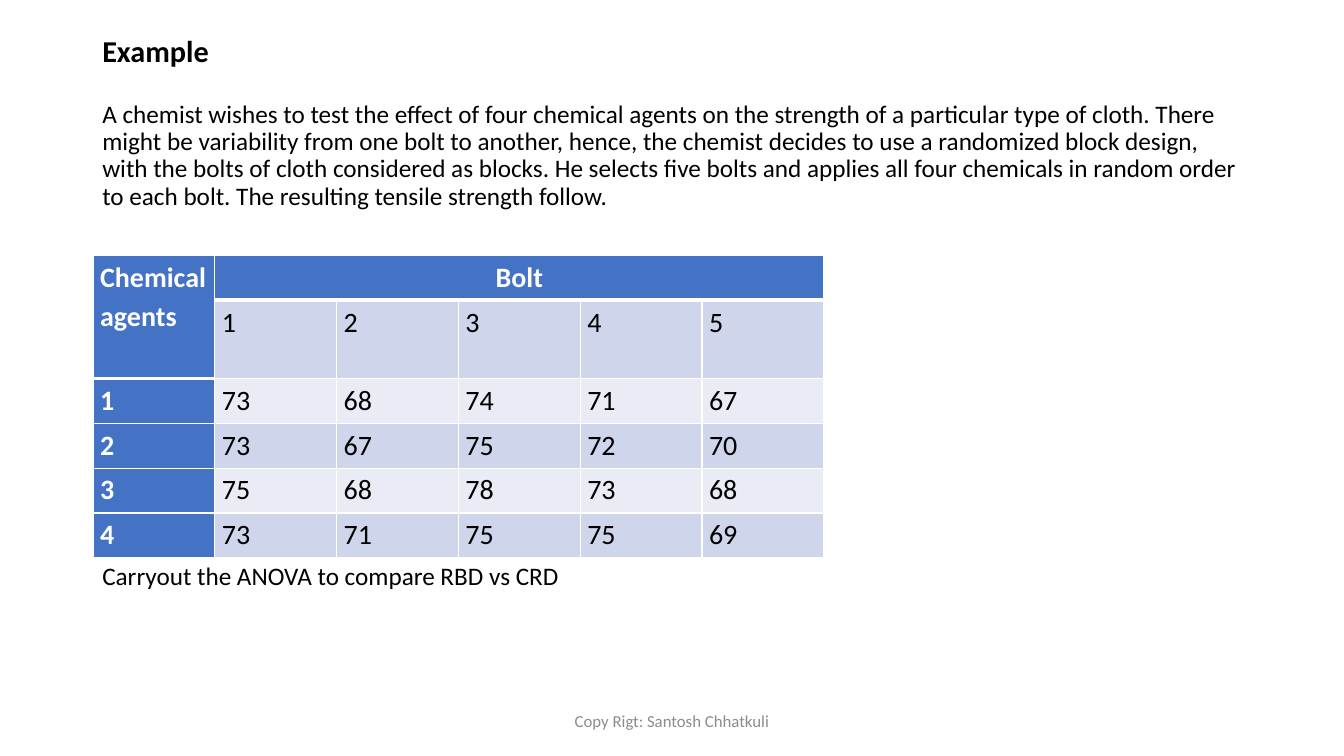
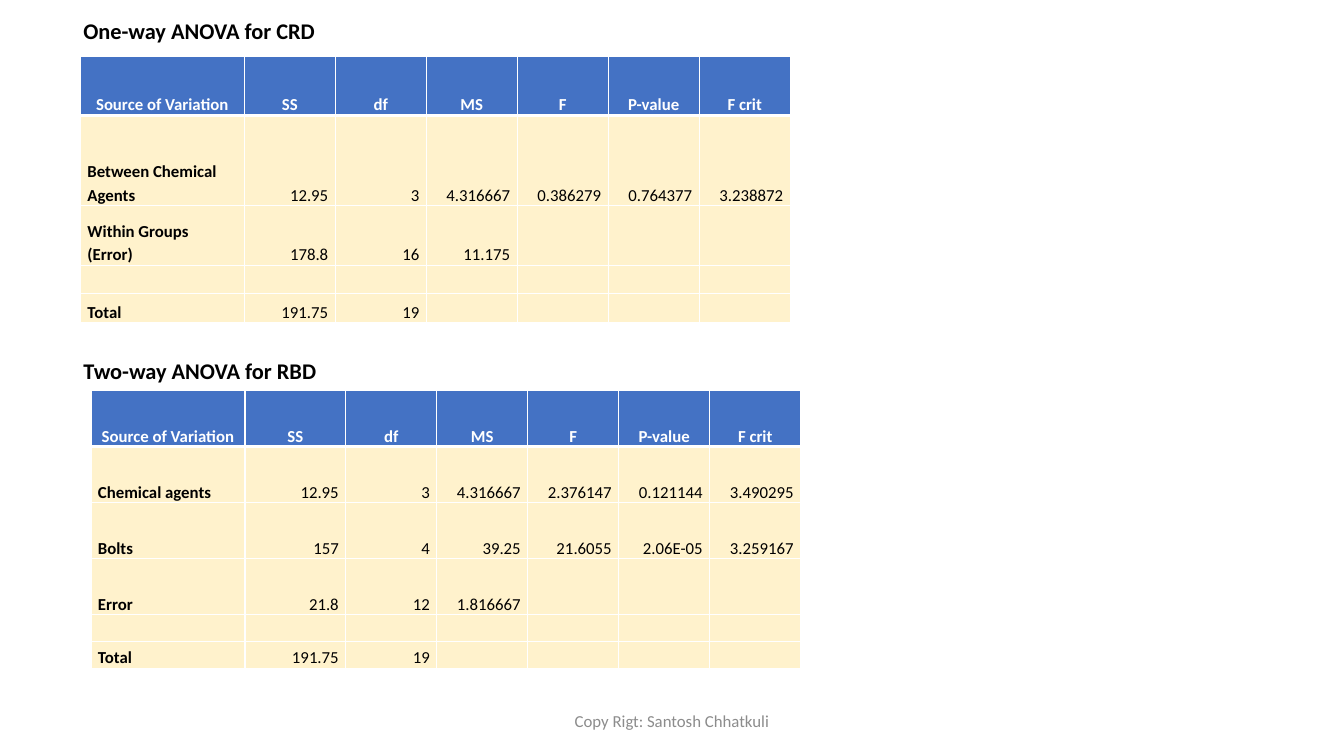
"""Build two slides on a randomized block design and its ANOVA tables."""
from lxml import etree
from pptx import Presentation
from pptx.dml.color import RGBColor
from pptx.enum.text import MSO_ANCHOR, PP_ALIGN
from pptx.oxml.ns import qn
from pptx.util import Pt

LEFT, CENTER, RIGHT = PP_ALIGN.LEFT, PP_ALIGN.CENTER, PP_ALIGN.RIGHT
TOP, MIDDLE, BOTTOM = MSO_ANCHOR.TOP, MSO_ANCHOR.MIDDLE, MSO_ANCHOR.BOTTOM
FONT = "Calibri"
COLORS = {
    "text": "000000",
    "white": "FFFFFF",
    "footer": "8C8C8C",
    "header": "4472C4",
    "band_light": "E9EBF5",
    "band_dark": "CFD5EA",
    "cream": "FFF2CC",
}


def write_text(frame, text, size, color="text", bold=False, align=LEFT, spacing=0.9):
    frame.text = text
    for paragraph in frame.paragraphs:
        paragraph.alignment = align
        paragraph.line_spacing = spacing
        font = paragraph.font
        font.name, font.size, font.bold = FONT, Pt(size), bold
        font.color.rgb = RGBColor.from_string(COLORS[color])
        if not text:
            etree.SubElement(paragraph._p, qn("a:endParaRPr"), sz=str(size * 100))


def add_grid(slide, left, top, widths, heights, rows, size, header_depths,
             bands, value_align, anchor, dark_first_column=False):
    table = slide.shapes.add_table(
        len(heights), len(widths), Pt(left), Pt(top), Pt(sum(widths)), Pt(sum(heights))
    ).table
    for column, width in zip(table.columns, widths):
        column.width = Pt(width)
    for r, height in enumerate(heights):
        table.rows[r].height = Pt(height)
        for c, depth in enumerate(header_depths):
            cell = table.cell(r, c)
            cell.margin_left = cell.margin_right = Pt(5)
            cell.margin_top = cell.margin_bottom = 0
            cell.vertical_anchor = anchor
            properties = cell._tc.get_or_add_tcPr()
            line_widths = {"lnL": 1, "lnR": 1, "lnT": 3 if r == depth else 1,
                           "lnB": 3 if r == depth - 1 else 1}
            for side, line_width in line_widths.items():
                line = etree.SubElement(properties, qn(f"a:{side}"), w=str(Pt(line_width)))
                line_fill = etree.SubElement(line, qn("a:solidFill"))
                etree.SubElement(line_fill, qn("a:srgbClr"), val=COLORS["white"])
            dark = r < depth or (dark_first_column and c == 0)
            cell.fill.solid()
            fill = "header" if dark else bands[r % 2]
            cell.fill.fore_color.rgb = RGBColor.from_string(COLORS[fill])
            if r == 0 and depth == 1:
                align = CENTER
            else:
                align = LEFT if c == 0 else value_align
            text = rows[r][c] if c < len(rows[r]) else ""
            write_text(cell.text_frame, text, size, "white" if dark else "text",
                       dark or c == 0, align, 1.15)
    return table


presentation = Presentation()
presentation.slide_width, presentation.slide_height = Pt(960), Pt(540)
blank_layout = presentation.slide_layouts[6]

QUESTION = (
    "A chemist wishes to test the effect of four chemical agents on the strength of a "
    "particular type of cloth. There might be variability from one bolt to another, hence, "
    "the chemist decides to use a randomized block design, with the bolts of cloth considered "
    "as blocks. He selects five bolts and applies all four chemicals in random order to each "
    "bolt. The resulting tensile strength follow."
)
footer = (318, 500.5, 324, 29, "Copy Rigt: Santosh Chhatkuli", 12, "footer", False, CENTER, MIDDLE)
slide_texts = [
    [
        (66, 21, 828, 33, "Example", 21.6, "text", True, LEFT, MIDDLE),
        (66, 69, 828, 90, QUESTION, 18, "text", False, LEFT, TOP),
        (66, 399, 828, 28, "Carryout the ANOVA to compare RBD vs CRD", 18, "text", False, LEFT, TOP),
    ],
    [
        (52.5, 11, 873, 26, "One-way ANOVA for CRD", 16, "text", True, LEFT, TOP),
        (52.5, 254, 873, 26, "Two-way ANOVA for RBD", 16, "text", True, LEFT, TOP),
    ],
]
for texts in slide_texts:
    slide = presentation.slides.add_slide(blank_layout)
    for left, top, width, height, text, size, color, bold, align, anchor in texts + [footer]:
        box = slide.shapes.add_textbox(Pt(left), Pt(top), Pt(width), Pt(height))
        box.text_frame.word_wrap = True
        box.text_frame.vertical_anchor = anchor
        write_text(box.text_frame, text, size, color, bold, align, 1 if color == "footer" else 0.9)
example_slide, anova_slide = presentation.slides

strength_rows = [
    ["Chemical agents", "Bolt"],
    ["", "1", "2", "3", "4", "5"],
    ["1", "73", "68", "74", "71", "67"],
    ["2", "73", "67", "75", "72", "70"],
    ["3", "75", "68", "78", "73", "68"],
    ["4", "73", "71", "75", "75", "69"],
]
strength_table = add_grid(
    example_slide, 66.5, 182.5, [87] * 6, [32, 56] + [32] * 4, strength_rows, 20,
    [2] + [1] * 5, ("band_light", "band_dark"), LEFT, TOP, dark_first_column=True,
)
strength_table.cell(0, 0).merge(strength_table.cell(1, 0))
strength_table.cell(0, 1).merge(strength_table.cell(0, 5))

anova_header = ["Source of Variation", "SS", "df", "MS", "F", "P-value", "F crit"]
anova_end = [[], ["Total", "191.75", "19"]]
one_way_rows = [
    ["Between Chemical Agents", "12.95", "3", "4.316667", "0.386279", "0.764377", "3.238872"],
    ["Within Groups\n(Error)", "178.8", "16", "11.175"],
]
two_way_rows = [
    ["Chemical agents", "12.95", "3", "4.316667", "2.376147", "0.121144", "3.490295"],
    ["Bolts", "157", "4", "39.25", "21.6055", "2.06E-05", "3.259167"],
    ["Error", "21.8", "12", "1.816667"],
]
anova_tables = [
    (57.5, 40, [117] + [65] * 6, [42.5, 64.5, 42.5, 20, 21], one_way_rows),
    (65, 279, [110, 72] + [65] * 5, [40] * 4 + [19, 19.5], two_way_rows),
]
for left, top, widths, heights, rows in anova_tables:
    add_grid(anova_slide, left, top, widths, heights, [anova_header] + rows + anova_end, 12,
             [1] * 7, ("cream", "cream"), RIGHT, BOTTOM)

presentation.save("out.pptx")
